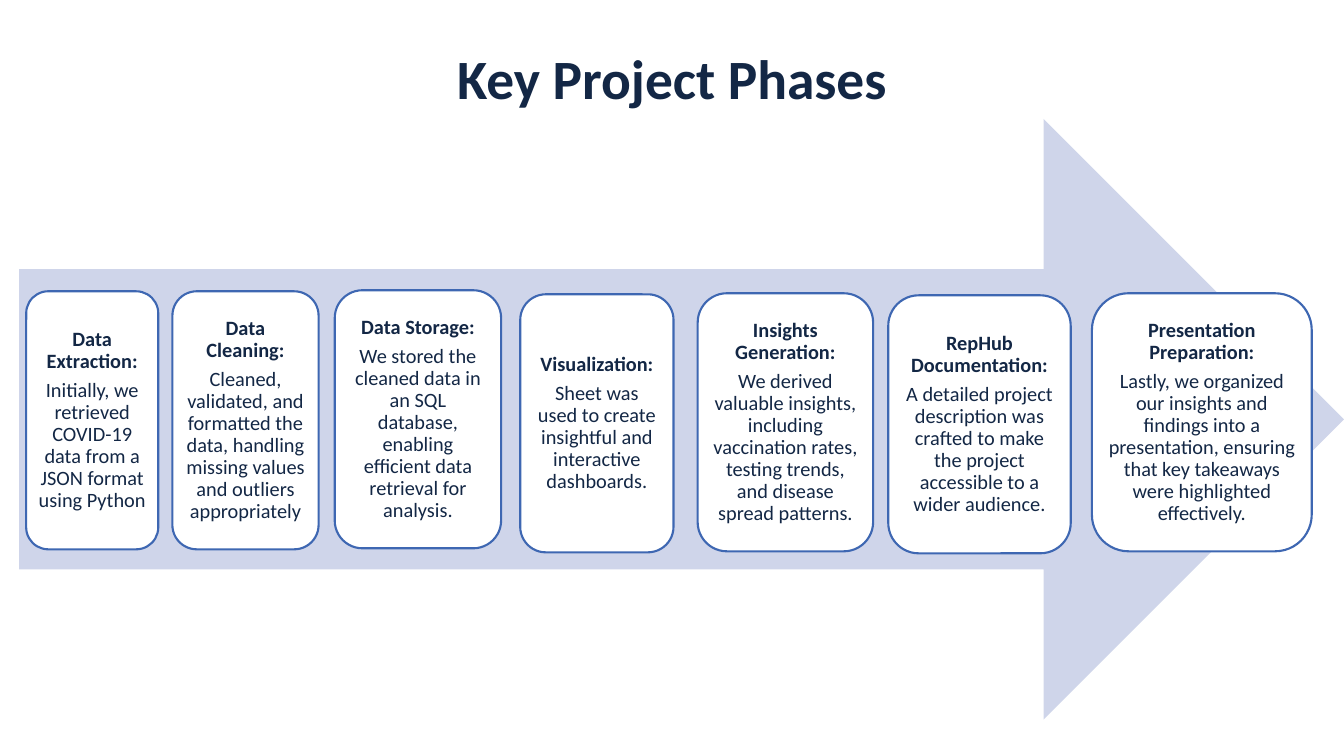
from pptx import Presentation
from pptx.dml.color import RGBColor
from pptx.enum.shapes import MSO_SHAPE
from pptx.enum.text import MSO_ANCHOR, PP_ALIGN
from pptx.util import Inches, Pt

NAVY = RGBColor(0x13, 0x27, 0x45)
BLUE = RGBColor(0x3E, 0x67, 0xB2)
PALE = RGBColor(0xCF, 0xD5, 0xEA)
WHITE = RGBColor(0xFF, 0xFF, 0xFF)

CARD_TALL = 2.56
# Left, top, width, heading, body
PHASES = [
    (0.26, 2.89, 1.31, "Data Extraction:",
     "Initially, we retrieved COVID-19 data from a JSON format using Python"),
    (1.71, 2.89, 1.45, "Data Cleaning:",
     "Cleaned, validated, and formatted the data, handling missing values "
     "and outliers appropriately"),
    (3.32, 2.88, 1.65, "Data Storage:",
     "We stored the cleaned data in an SQL database, enabling efficient data "
     "retrieval for analysis."),
    (5.16, 2.92, 1.52, "Visualization:",
     "Sheet was used to create insightful and interactive dashboards."),
    (6.92, 2.91, 1.74, "Insights Generation:",
     "We derived valuable insights, including vaccination rates, testing "
     "trends, and disease spread patterns."),
    (8.81, 2.93, 1.81, "RepHub Documentation:",
     "A detailed project description was crafted to make the project "
     "accessible to a wider audience."),
    (10.83, 2.91, 2.18, "Presentation Preparation:",
     "Lastly, we organized our insights and findings into a presentation, "
     "ensuring that key takeaways were highlighted effectively."),
]


def set_all(item, form):
    for name, value in form.items():
        setattr(item, name, value)


def write(frame, lines, size, inset, after):
    """Fill a text frame with centred (text, bold) lines."""
    pad = Inches(inset)
    set_all(frame, {"word_wrap": True, "vertical_anchor": MSO_ANCHOR.MIDDLE,
                    "margin_left": pad, "margin_right": pad,
                    "margin_top": pad, "margin_bottom": pad})
    for i, (text, bold) in enumerate(lines):
        para = frame.add_paragraph() if i else frame.paragraphs[0]
        set_all(para, {"alignment": PP_ALIGN.CENTER, "line_spacing": 0.9,
                       "space_after": Pt(after)})
        run = para.add_run()
        run.text = text
        set_all(run.font, {"name": "Calibri", "size": Pt(size), "bold": bold})
        run.font.color.rgb = NAVY


def add_form(slide, kind, box, fill, line=None):
    shape = slide.shapes.add_shape(kind, *map(Inches, box))
    shape.shadow.inherit = False
    shape.fill.solid()
    shape.fill.fore_color.rgb = fill
    if line is None:
        shape.line.fill.background()
    else:
        shape.line.color.rgb = line
        shape.line.width = Pt(1.5)
    return shape


def add_title(slide, box):
    title = slide.shapes.add_textbox(*map(Inches, box))
    write(title.text_frame, [("Key Project Phases", True)], 39.6, 0.05, 0)


def add_card(slide, box, head, body):
    card = add_form(slide, MSO_SHAPE.ROUNDED_RECTANGLE, box, WHITE, BLUE)
    write(card.text_frame, [(head, True), (body, False)], 14.5, 0.06, 5)


def add_flow(slide, box):
    # Arrow behind the cards
    add_form(slide, MSO_SHAPE.RIGHT_ARROW, box, PALE)
    # Phase cards, placed from the arrow's corner
    x, y = box[:2]
    for left, top, wide, head, body in PHASES:
        place = (x + left - 0.19, y + top - 1.18, wide, CARD_TALL)
        add_card(slide, place, head, body)


def main():
    deck = Presentation()
    set_all(deck, {"slide_width": Inches(13.33), "slide_height": Inches(7.5)})
    slide = deck.slides.add_slide(deck.slide_layouts[6])
    add_title(slide, (3.5, 0.44, 6.33, 0.74))
    add_flow(slide, (0.19, 1.18, 13.14, 5.96))
    deck.save("out.pptx")


if __name__ == "__main__":
    main()
